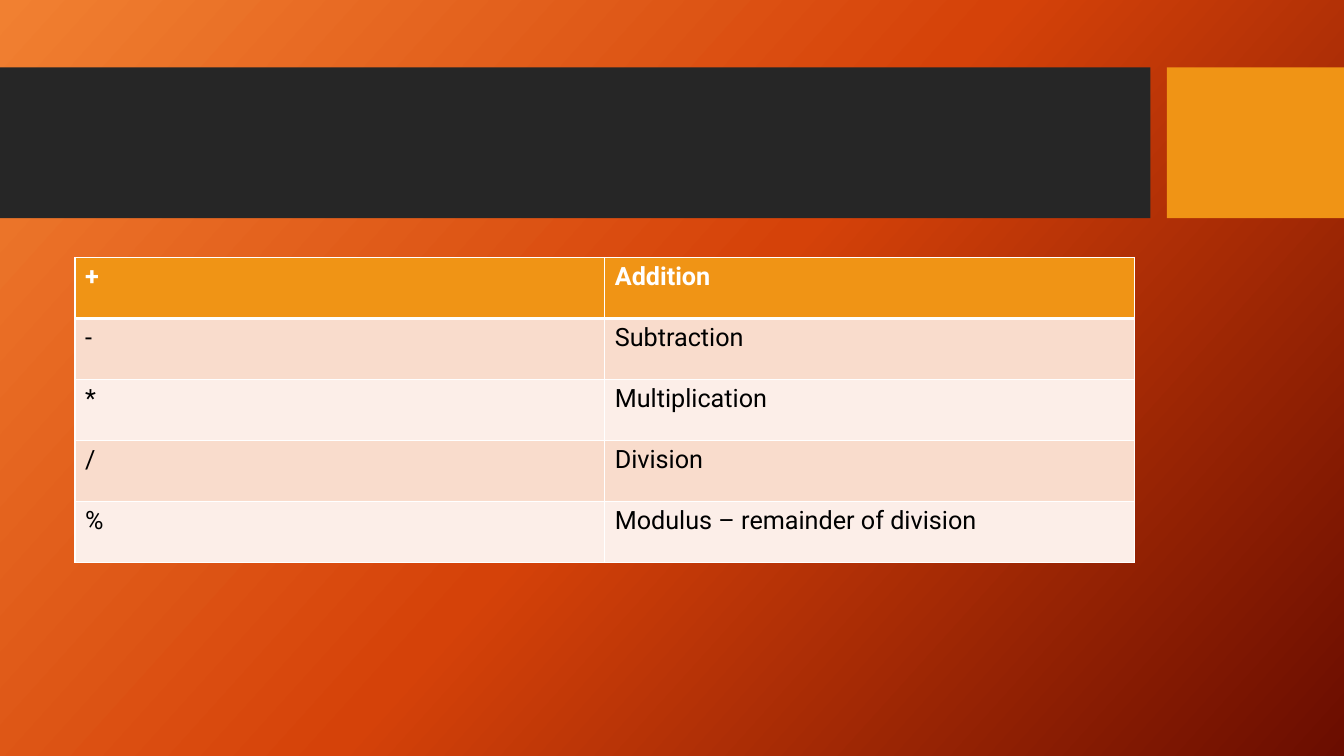
from copy import deepcopy

from lxml.etree import SubElement
from pptx import Presentation
from pptx.dml.color import RGBColor
from pptx.enum.shapes import MSO_SHAPE
from pptx.oxml.ns import qn
from pptx.util import Cm, Pt

LIGHT_ORANGE = RGBColor(0xF1, 0x80, 0x31)
RED_ORANGE = RGBColor(0xD5, 0x42, 0x09)
DARK_RED = RGBColor(0x6A, 0x0D, 0x00)
CHARCOAL = RGBColor(0x26, 0x26, 0x26)
AMBER = RGBColor(0xF0, 0x94, 0x15)
PEACH = RGBColor(0xF9, 0xDC, 0xCC)
PALE_PEACH = RGBColor(0xFC, 0xEE, 0xE8)
WHITE = RGBColor(0xFF, 0xFF, 0xFF)
BLACK = RGBColor(0x00, 0x00, 0x00)

OPERATORS = [
    ("+", "Addition"),
    ("-", "Subtraction"),
    ("*", "Multiplication"),
    ("/", "Division"),
    ("%", "Modulus – remainder of division"),
]


def add_border(cell, side, width):
    line = SubElement(cell._tc.get_or_add_tcPr(), qn(f"a:ln{side}"), w=str(Pt(width)))
    fill = SubElement(line, qn("a:solidFill"))
    SubElement(fill, qn("a:srgbClr"), val=str(WHITE))


deck = Presentation()
deck.slide_width = Cm(33.87)
deck.slide_height = Cm(19.05)
page = deck.slides.add_slide(deck.slide_layouts[6])

backdrop = page.background.fill
backdrop.gradient()
backdrop.gradient_angle = 360 - 42
stop_list = page.element.find(f".//{qn('a:gsLst')}")
stop_list.insert(1, deepcopy(stop_list[0]))
for stop, position, color in zip(
    backdrop.gradient_stops, (0, 0.5, 1), (LIGHT_ORANGE, RED_ORANGE, DARK_RED)
):
    stop.position = position
    stop.color.rgb = color

for left, width, color in ((0, 28.99, CHARCOAL), (29.41, 4.46, AMBER)):
    band = page.shapes.add_shape(
        MSO_SHAPE.RECTANGLE, Cm(left), Cm(1.7), Cm(width), Cm(3.8)
    )
    band.shadow.inherit = False
    band.fill.solid()
    band.fill.fore_color.rgb = color
    band.line.fill.background()

table = page.shapes.add_table(
    len(OPERATORS), 2, Cm(1.89), Cm(6.49), Cm(26.7), Cm(7.68)
).table
for row, texts in enumerate(OPERATORS):
    is_header = row == 0
    row_color = AMBER if is_header else (PALE_PEACH, PEACH)[row % 2]
    for column, text in enumerate(texts):
        cell = table.cell(row, column)
        add_border(cell, "L", 1)
        add_border(cell, "R", 1)
        add_border(cell, "T", 3 if row == 1 else 1)
        add_border(cell, "B", 3 if is_header else 1)
        cell.fill.solid()
        cell.fill.fore_color.rgb = row_color
        cell.text = text
        para = cell.text_frame.paragraphs[0]
        para.font.name = "Roboto"
        para.font.size = Pt(18)
        para.font.bold = is_header
        para.font.color.rgb = WHITE if is_header else BLACK

deck.save("out.pptx")
